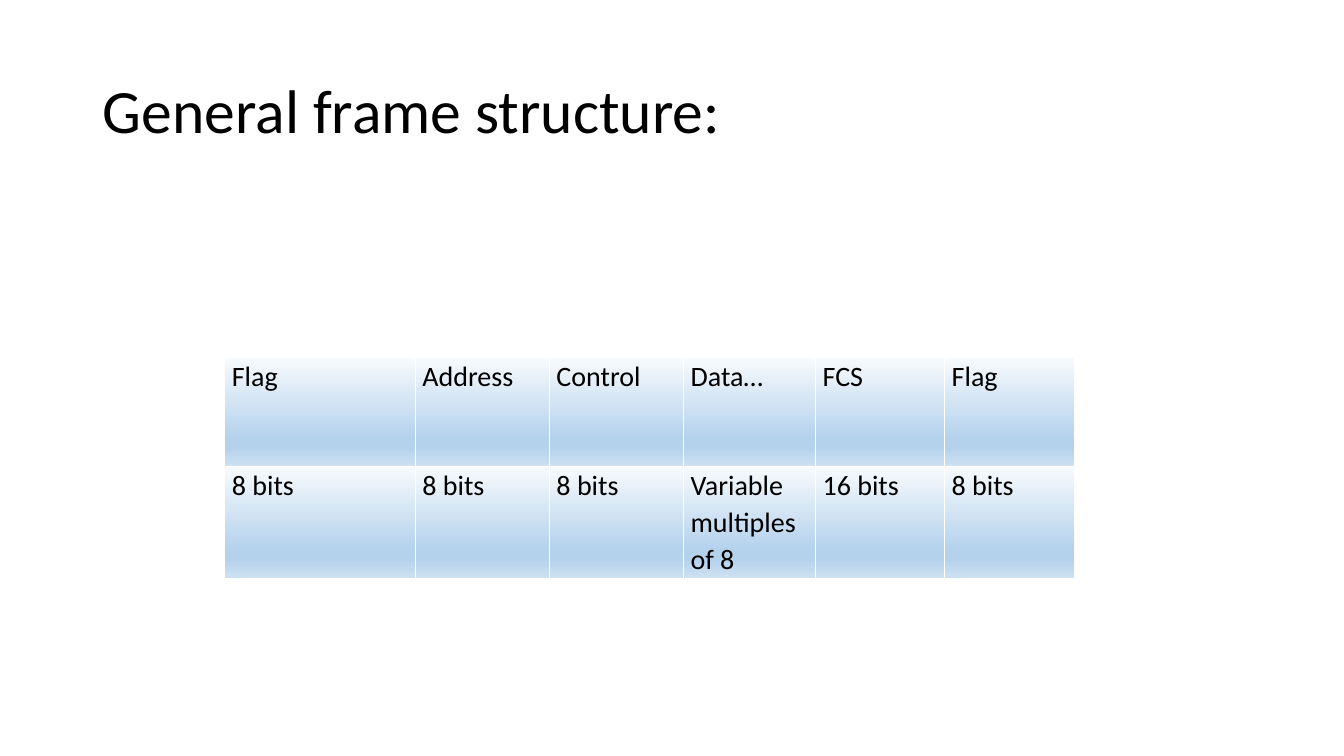
"""Build the slide showing the general frame structure as a table."""
from lxml import etree
from pptx import Presentation
from pptx.dml.color import RGBColor
from pptx.enum.text import MSO_ANCHOR, PP_ALIGN
from pptx.oxml import parse_xml
from pptx.oxml.ns import nsdecls, qn
from pptx.util import Inches, Pt

COLORS = {
    "text": "000000",
    "border": "FFFFFF",
    "light": "F7FAFD",
    "deep": "B5D2EC",
    "pale": "CEE1F2",
}
GRADIENT_STOPS = [(0, "light"), (74, "deep"), (83, "deep"), (100, "pale")]
FIELDS = [
    ("Flag", "8 bits", 1.89),
    ("Address", "8 bits", 1.33),
    ("Control", "8 bits", 1.33),
    ("Data…", "Variable\nmultiples of 8", 1.31),
    ("FCS", "16 bits", 1.28),
    ("Flag", "8 bits", 1.29),
]
ROW_HEIGHTS = [1.08, 1.11]


def write_text(text_frame, text, *, size, spacing, font="Calibri", color="text"):
    text_frame.text = text
    for paragraph in text_frame.paragraphs:
        paragraph.alignment = PP_ALIGN.LEFT
        paragraph.line_spacing = spacing
        paragraph.space_before = paragraph.space_after = Pt(0)
        for run in paragraph.runs:
            run.font.name = font
            run.font.size = Pt(size)
            run.font.bold = False
            run.font.color.rgb = RGBColor.from_string(COLORS[color])


def style_cell(cell):
    properties = cell._tc.get_or_add_tcPr()
    for side in ("lnL", "lnR", "lnT", "lnB"):
        border = etree.SubElement(properties, qn(f"a:{side}"), w=str(Pt(1)))
        solid = etree.SubElement(border, qn("a:solidFill"))
        etree.SubElement(solid, qn("a:srgbClr"), val=COLORS["border"])
    stops = "".join(
        f'<a:gs pos="{position * 1000}"><a:srgbClr val="{COLORS[name]}"/></a:gs>'
        for position, name in GRADIENT_STOPS
    )
    properties.append(parse_xml(
        f'<a:gradFill {nsdecls("a")} rotWithShape="1"><a:gsLst>{stops}</a:gsLst>'
        '<a:lin ang="5400000" scaled="0"/></a:gradFill>'
    ))


presentation = Presentation()
presentation.slide_width = Inches(13.33)
presentation.slide_height = Inches(7.5)
slide = presentation.slides.add_slide(presentation.slide_layouts[5])

title = slide.shapes.title
title.left, title.top = Inches(0.92), Inches(0.4)
title.width, title.height = Inches(11.5), Inches(1.45)
title.text_frame.vertical_anchor = MSO_ANCHOR.MIDDLE
write_text(title.text_frame, "General frame structure:", size=44, spacing=0.9)

table = slide.shapes.add_table(
    len(ROW_HEIGHTS), len(FIELDS),
    Inches(2.23), Inches(3.55), Inches(8.43), Inches(sum(ROW_HEIGHTS)),
).table
for row, height in zip(table.rows, ROW_HEIGHTS):
    row.height = Inches(height)

for column_index, (name, length, width) in enumerate(FIELDS):
    table.columns[column_index].width = Inches(width)
    for row_index, text in enumerate((name, length)):
        cell = table.cell(row_index, column_index)
        cell.margin_left = cell.margin_right = Inches(0.07)
        cell.margin_top = cell.margin_bottom = Inches(0)
        cell.vertical_anchor = MSO_ANCHOR.TOP
        write_text(cell.text_frame, text, size=20, spacing=1.07)
        style_cell(cell)

presentation.save("out.pptx")
